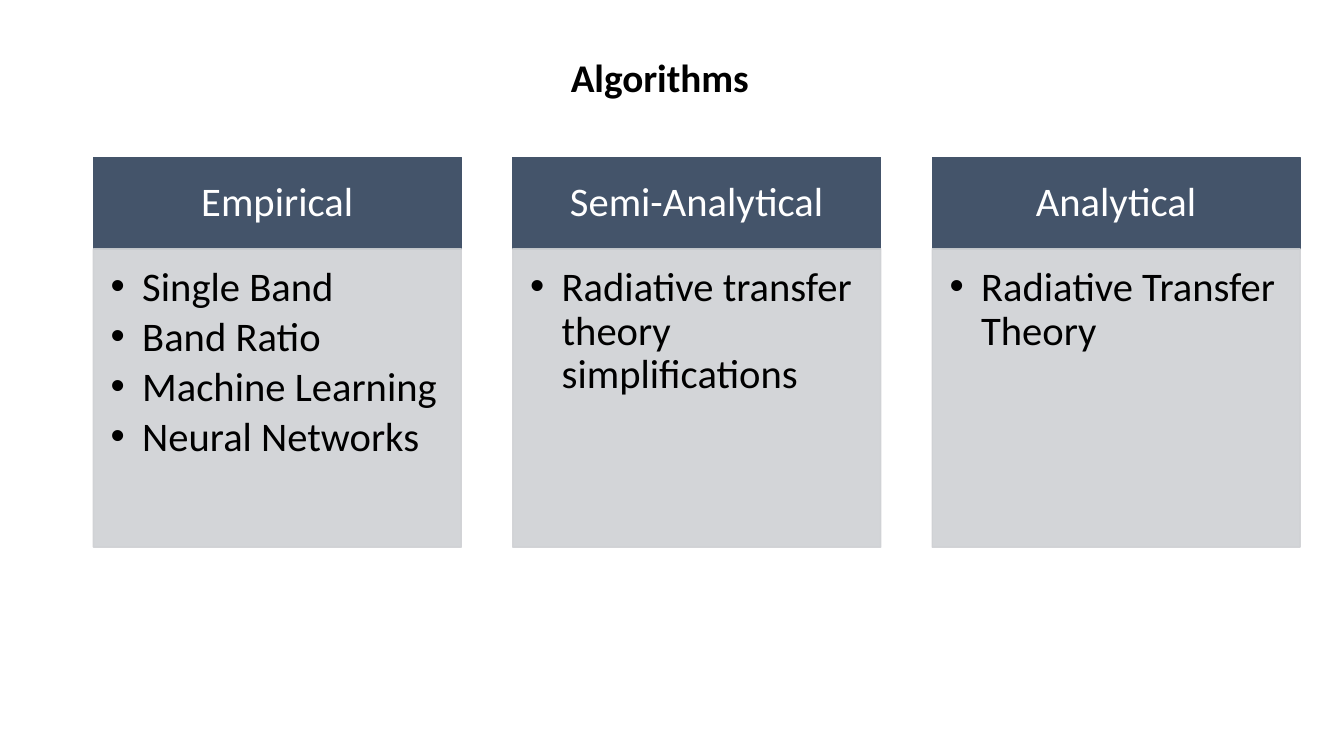
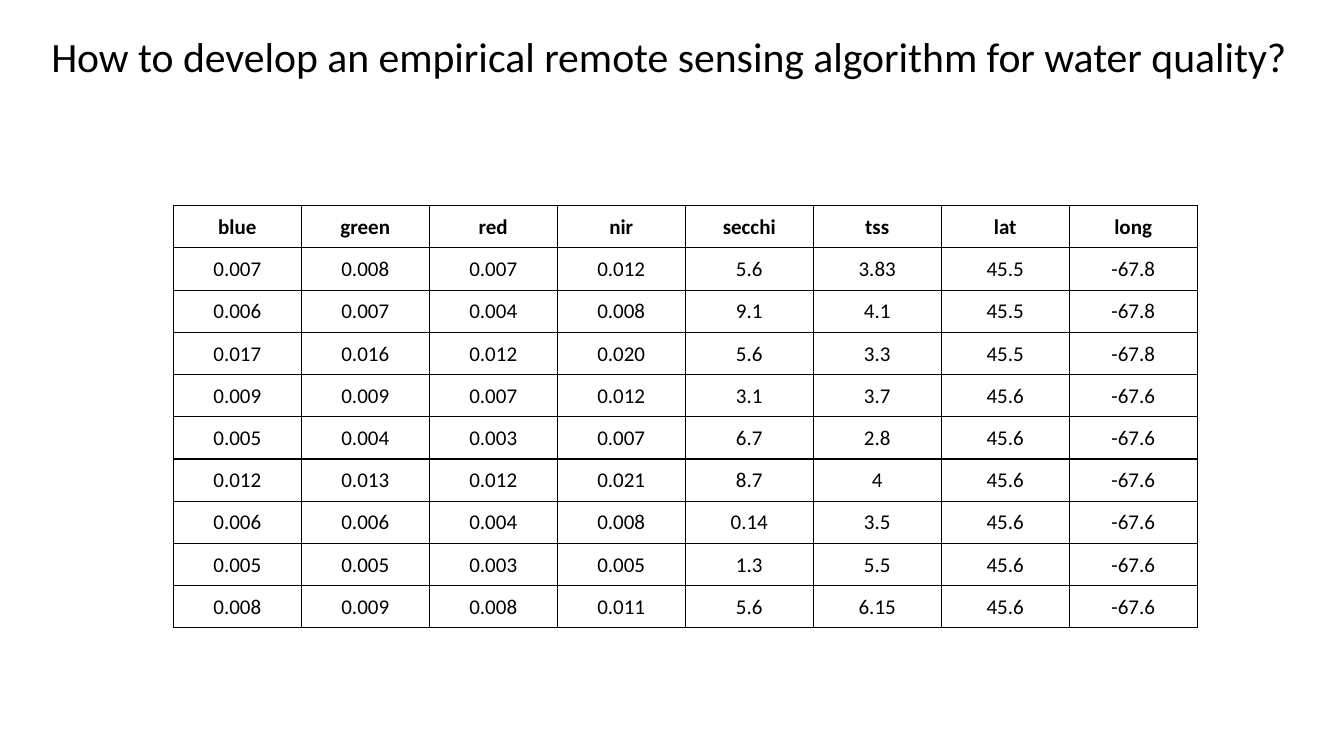
from dataclasses import dataclass

from lxml.etree import SubElement
from pptx import Presentation
from pptx.dml.color import RGBColor
from pptx.enum.shapes import MSO_SHAPE
from pptx.enum.text import MSO_ANCHOR, MSO_AUTO_SIZE, PP_ALIGN
from pptx.oxml.ns import qn
from pptx.util import Pt


@dataclass(frozen=True)
class Theme:
    font: str = "Calibri"
    text: RGBColor = RGBColor(0x00, 0x00, 0x00)
    light_text: RGBColor = RGBColor(0xFF, 0xFF, 0xFF)
    header: RGBColor = RGBColor(0x44, 0x54, 0x6A)
    panel: RGBColor = RGBColor(0xCF, 0xD1, 0xD4)
    panel_opacity: int = 90
    heading_size: float = 28
    question_size: float = 29.8
    card_size: float = 29
    table_size: float = 15


THEME = Theme()

ALGORITHMS = {
    "Empirical": ["Single Band", "Band Ratio", "Machine Learning", "Neural Networks"],
    "Semi-Analytical": ["Radiative transfer theory simplifications"],
    "Analytical": ["Radiative Transfer Theory"],
}

MEASUREMENTS = [
    ["blue", "green", "red", "nir", "secchi", "tss", "lat", "long"],
    ["0.007", "0.008", "0.007", "0.012", "5.6", "3.83", "45.5", "-67.8"],
    ["0.006", "0.007", "0.004", "0.008", "9.1", "4.1", "45.5", "-67.8"],
    ["0.017", "0.016", "0.012", "0.020", "5.6", "3.3", "45.5", "-67.8"],
    ["0.009", "0.009", "0.007", "0.012", "3.1", "3.7", "45.6", "-67.6"],
    ["0.005", "0.004", "0.003", "0.007", "6.7", "2.8", "45.6", "-67.6"],
    ["0.012", "0.013", "0.012", "0.021", "8.7", "4", "45.6", "-67.6"],
    ["0.006", "0.006", "0.004", "0.008", "0.14", "3.5", "45.6", "-67.6"],
    ["0.005", "0.005", "0.003", "0.005", "1.3", "5.5", "45.6", "-67.6"],
    ["0.008", "0.009", "0.008", "0.011", "5.6", "6.15", "45.6", "-67.6"],
]


def style_paragraph(paragraph, size, color=THEME.text, bold=False, align=PP_ALIGN.CENTER):
    paragraph.alignment = align
    font = paragraph.font
    font.name, font.size, font.bold = THEME.font, Pt(size), bold
    font.color.rgb = color


def set_margins(target, left, top, right, bottom):
    target.margin_left, target.margin_top = Pt(left), Pt(top)
    target.margin_right, target.margin_bottom = Pt(right), Pt(bottom)


def add_titled_slide(presentation, title, box, size, anchor, bold=False, line_spacing=1.0):
    slide = presentation.slides.add_slide(presentation.slide_layouts[5])
    placeholder = slide.shapes.title
    placeholder.left, placeholder.top, placeholder.width, placeholder.height = map(Pt, box)
    frame = placeholder.text_frame
    frame.text = title
    frame.word_wrap = True
    frame.auto_size = MSO_AUTO_SIZE.NONE
    frame.vertical_anchor = anchor
    paragraph = frame.paragraphs[0]
    paragraph.line_spacing = line_spacing
    style_paragraph(paragraph, size, bold=bold)
    return slide


def add_block(slide, box, color, margins, anchor, opacity=100):
    """Add a filled rectangle and return its text frame."""
    shape = slide.shapes.add_shape(MSO_SHAPE.RECTANGLE, *map(Pt, box))
    shape.shadow.inherit = False
    shape.fill.solid()
    shape.fill.fore_color.rgb = color
    shape.line.color.rgb = color
    shape.line.width = Pt(1)
    if opacity < 100:
        for element in shape.element.spPr.iter(qn("a:srgbClr")):
            SubElement(element, qn("a:alpha"), val=str(opacity * 1000))
    frame = shape.text_frame
    frame.word_wrap = True
    frame.vertical_anchor = anchor
    set_margins(frame, *margins)
    return frame


def add_bullet(paragraph, indent):
    properties = paragraph._p.get_or_add_pPr()
    properties.set("marL", str(Pt(indent)))
    properties.set("indent", str(-Pt(indent)))
    SubElement(properties, qn("a:buFont"), typeface="Arial")
    SubElement(properties, qn("a:buChar"), char="•")


def add_card(slide, left, heading, items):
    top, width, header_height, panel_height = 112.3, 262.8, 65.5, 213.1

    # Header
    frame = add_block(slide, (left, top, width, header_height), THEME.header,
                      (16.5, 9.4, 16.5, 9.4), MSO_ANCHOR.MIDDLE)
    frame.text = heading
    frame.paragraphs[0].line_spacing = 0.9
    style_paragraph(frame.paragraphs[0], THEME.card_size, THEME.light_text)

    # Bulleted panel
    frame = add_block(slide, (left, top + header_height, width, panel_height), THEME.panel,
                      (12.4, 12.4, 16.5, 18), MSO_ANCHOR.TOP, THEME.panel_opacity)
    frame.text = "\n".join(items)
    for paragraph in frame.paragraphs:
        add_bullet(paragraph, 22.5)
        paragraph.line_spacing = 0.9
        paragraph.space_after = Pt(4.35)
        style_paragraph(paragraph, THEME.card_size, align=PP_ALIGN.LEFT)


def add_borders(cell, color, width):
    properties = cell._tc.get_or_add_tcPr()
    for side in ("lnL", "lnR", "lnT", "lnB"):
        line = SubElement(properties, qn(f"a:{side}"), w=str(Pt(width)))
        fill = SubElement(line, qn("a:solidFill"))
        SubElement(fill, qn("a:srgbClr"), val=str(color))


def add_data_table(slide, rows, left, top, column_width, row_height):
    row_count, column_count = len(rows), len(rows[0])
    table = slide.shapes.add_table(
        row_count, column_count, Pt(left), Pt(top),
        Pt(column_width * column_count), Pt(row_height * row_count)).table
    table.first_row = table.horz_banding = False
    for row_index, values in enumerate(rows):
        for column_index, value in enumerate(values):
            cell = table.cell(row_index, column_index)
            cell.text = value
            cell.vertical_anchor = MSO_ANCHOR.MIDDLE
            set_margins(cell, 0.7, 0.7, 0.7, 0)
            add_borders(cell, THEME.text, 1)
            cell.fill.background()
            style_paragraph(cell.text_frame.paragraphs[0], THEME.table_size,
                            bold=row_index == 0)


def main():
    presentation = Presentation()
    presentation.slide_width, presentation.slide_height = Pt(960), Pt(540)

    # Algorithm families
    slide = add_titled_slide(presentation, "Algorithms", (221.8, 27.4, 499, 59.8),
                             THEME.heading_size, MSO_ANCHOR.TOP, bold=True, line_spacing=1.2)
    for index, (heading, items) in enumerate(ALGORITHMS.items()):
        add_card(slide, 66.7 + index * 299.6, heading, items)

    # Sample measurements
    slide = add_titled_slide(
        presentation, "How to develop an empirical remote sensing algorithm for water quality?",
        (19.4, 18, 917.3, 43.2), THEME.question_size, MSO_ANCHOR.BOTTOM)
    add_data_table(slide, MEASUREMENTS, 123.8, 146.9, 91.44, 30.17)

    presentation.save("out.pptx")


if __name__ == "__main__":
    main()
